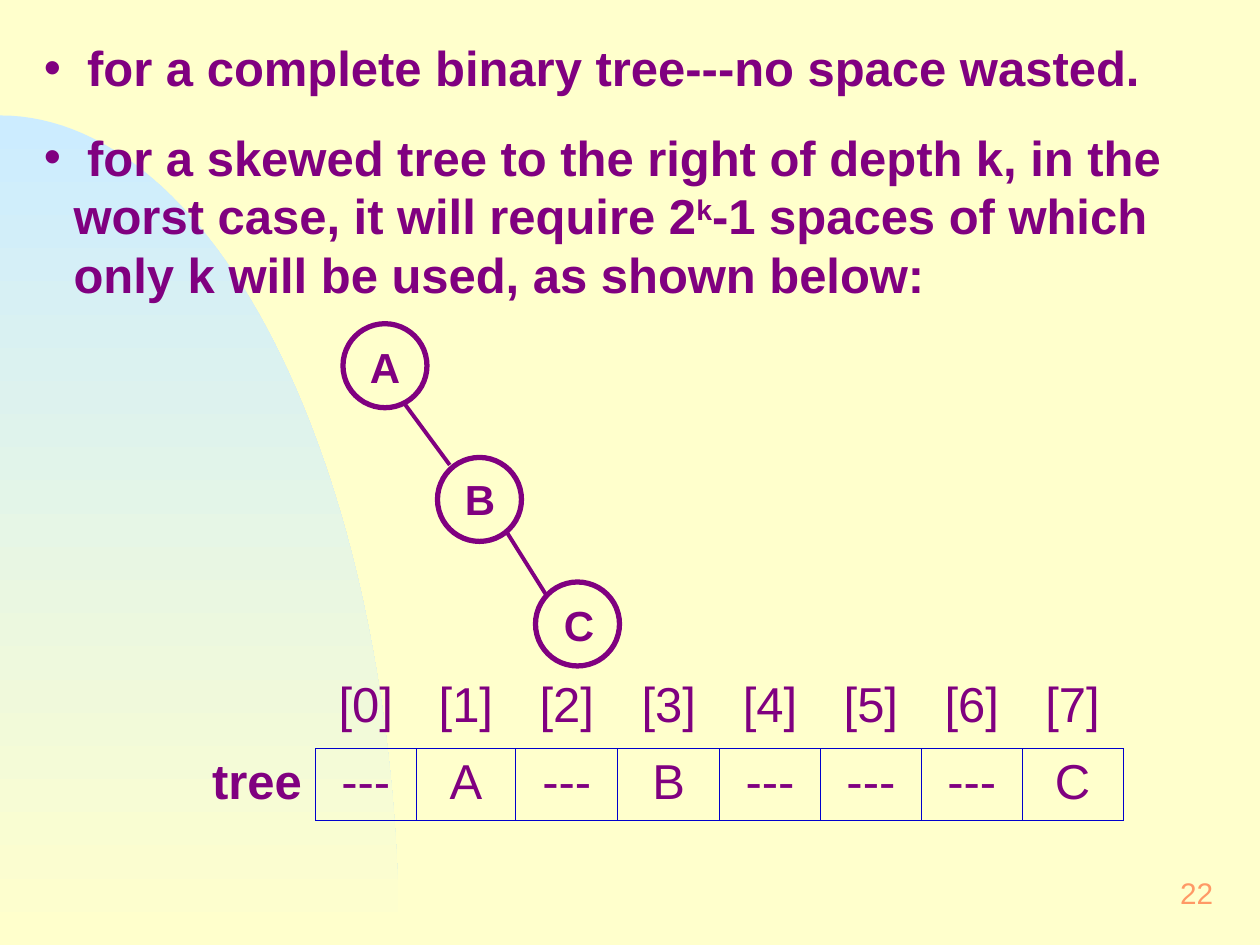
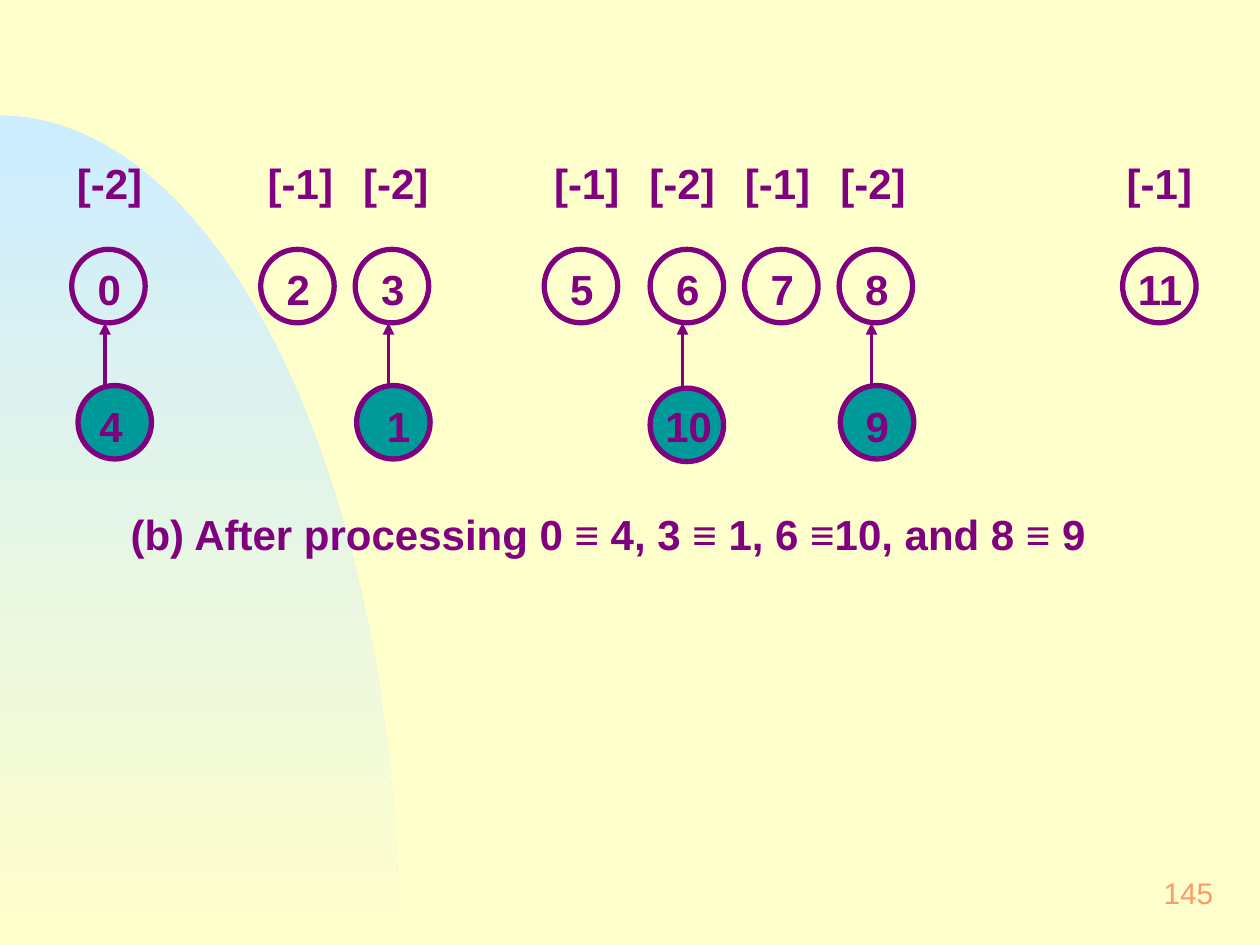
from dataclasses import dataclass
from math import cos, pi, sin

from lxml.etree import SubElement
from pptx import Presentation
from pptx.dml.color import RGBColor
from pptx.enum.shapes import MSO_CONNECTOR as Connector, MSO_SHAPE as Preset
from pptx.enum.text import MSO_ANCHOR as Anchor, MSO_AUTO_SIZE as AutoSize, PP_ALIGN as Align
from pptx.oxml.ns import qn
from pptx.slide import Slide
from pptx.table import Table, _Cell as Cell
from pptx.text.text import TextFrame, _Paragraph as Paragraph
from pptx.util import Pt

FONT = "Arial"
PURPLE = "800080"
TEAL = "009999"
CREAM = "FFFFCC"
SKY = "CCECFF"
ORANGE = "FF9966"
GRID_BLUE = "0000CC"
NO_GRID_STYLE = "{2D5ABB26-0587-4C30-8999-92F81FD0307C}"
ROOMY = (8.64, 4.32)
SNUG = (7.2, 3.6)


@dataclass(frozen=True)
class Style:
    size: float
    color: str = PURPLE
    bold: bool = True


BODY = Style(28)
CELL = Style(28, bold=False)
LABEL = Style(24)
PAGE_NUMBER = Style(17, ORANGE, False)


@dataclass(frozen=True)
class Node:
    label: str
    left: float
    top: float
    label_left: float
    label_top: float
    label_width: float = 36
    align: Align = Align.LEFT


@dataclass(frozen=True)
class Line:
    start: tuple[float, float]
    end: tuple[float, float]


def rgb(color: str) -> RGBColor:
    return RGBColor.from_string(color)


def add_span(para: Paragraph, text: str, style: Style, baseline: int = 0) -> None:
    span = para.add_run()
    span.text = text
    span.font.name = FONT
    span.font.size = Pt(style.size)
    span.font.bold = style.bold
    span.font.color.rgb = rgb(style.color)
    if baseline:
        span.font._element.set("baseline", str(baseline * 1000))


def add_box(page: Slide, left: float, top: float, width: float, height: float,
            insets: tuple[float, float] = ROOMY) -> TextFrame:
    frame = page.shapes.add_textbox(Pt(left), Pt(top), Pt(width), Pt(height)).text_frame
    frame.word_wrap = True
    frame.auto_size = AutoSize.SHAPE_TO_FIT_TEXT
    frame.margin_left = frame.margin_right = Pt(insets[0])
    frame.margin_top = frame.margin_bottom = Pt(insets[1])
    return frame


def add_label(page: Slide, text: str, left: float, top: float, width: float,
              align: Align = Align.LEFT) -> None:
    para = add_box(page, left, top, width, 37.5).paragraphs[0]
    para.alignment = align
    add_span(para, text, LABEL)


def add_bullet(para: Paragraph) -> None:
    properties = para._p.get_or_add_pPr()
    properties.set("marL", str(Pt(17)))
    properties.set("indent", str(Pt(-17)))
    color = SubElement(properties, qn("a:buClr"))
    SubElement(color, qn("a:srgbClr"), val=PURPLE)
    SubElement(properties, qn("a:buFont"), typeface=FONT)
    SubElement(properties, qn("a:buChar"), char="•")


def add_node(page: Slide, node: Node, diameter: float, fill: str | None = None) -> None:
    circle = page.shapes.add_shape(Preset.OVAL, Pt(node.left), Pt(node.top),
                                   Pt(diameter), Pt(diameter))
    circle.shadow.inherit = False
    circle.line.color.rgb = rgb(PURPLE)
    circle.line.width = Pt(3)
    if fill:
        circle.fill.solid()
        circle.fill.fore_color.rgb = rgb(fill)
    else:
        circle.fill.background()
    add_label(page, node.label, node.label_left, node.label_top, node.label_width, node.align)


def add_line(page: Slide, line: Line, arrow: bool = False) -> None:
    connector = page.shapes.add_connector(
        Connector.STRAIGHT, *(Pt(value) for value in line.start + line.end))
    connector.line.color.rgb = rgb(PURPLE)
    connector.line.width = Pt(2.25)
    if arrow:
        SubElement(connector.line._get_or_add_ln(), qn("a:headEnd"), type="triangle")
    SubElement(connector._element.spPr, qn("a:effectLst"))


def add_table(page: Slide, left: float, top: float, widths: list[float],
              heights: list[float]) -> Table:
    table = page.shapes.add_table(len(heights), len(widths), Pt(left), Pt(top),
                                  Pt(sum(widths)), Pt(sum(heights))).table
    table.first_row = table.horz_banding = False
    table._tbl.tblPr.find(qn("a:tableStyleId")).text = NO_GRID_STYLE
    for column, width in zip(table.columns, widths):
        column.width = Pt(width)
    for row, height in zip(table.rows, heights):
        row.height = Pt(height)
    for cell in table.iter_cells():
        cell.margin_left = cell.margin_right = Pt(SNUG[0])
        cell.margin_top = cell.margin_bottom = Pt(SNUG[1])
    return table


def fill_cell(cell: Cell, text: str, style: Style, align: Align = Align.CENTER,
              sides: tuple[str, ...] = ()) -> None:
    properties = cell._tc.get_or_add_tcPr()
    for side in sides:
        border = SubElement(properties, qn(f"a:ln{side}"), w=str(Pt(0.45)))
        color = SubElement(SubElement(border, qn("a:solidFill")), qn("a:srgbClr"))
        color.set("val", GRID_BLUE)
    cell.fill.background()
    if text:
        para = cell.text_frame.paragraphs[0]
        para.alignment = align
        add_span(para, text, style)


def add_page(deck: Presentation, number: int) -> Slide:
    page = deck.slides.add_slide(deck.slide_layouts[6])
    steps = 60
    angles = [pi / 2 * step / steps for step in range(steps + 1)]
    curve = [(Pt(228 * sin(angle)), Pt(540 - 474 * cos(angle))) for angle in angles]
    builder = page.shapes.build_freeform(*curve[0])
    builder.add_line_segments(curve[1:] + [(0, Pt(540))])
    band = builder.convert_to_shape()
    band.shadow.inherit = False
    band.line.fill.background()
    band.fill.gradient()
    band.fill.gradient_angle = 270
    for stop, color, position in zip(band.fill.gradient_stops, (SKY, CREAM), (0, 1)):
        stop.color.rgb = rgb(color)
        stop.position = position

    frame = add_box(page, 552, 492, 150, 36)
    frame.auto_size = AutoSize.NONE
    frame.vertical_anchor = Anchor.MIDDLE
    para = frame.paragraphs[0]
    para.alignment = Align.RIGHT
    add_span(para, str(number), PAGE_NUMBER)
    return page


def build_skewed_tree(deck: Presentation) -> None:
    page = add_page(deck, 22)
    frame = add_box(page, 18, 18, 690, 159, SNUG)
    first = frame.paragraphs[0]
    add_bullet(first)
    add_span(first, " for a complete binary tree---no space wasted.", BODY)
    second = frame.add_paragraph()
    add_bullet(second)
    second.space_before = Pt(17.5)
    add_span(second, " for a skewed tree to the right of depth k, in the worst case, "
                     "it will require 2", BODY)
    add_span(second, "k", BODY, baseline=30)
    add_span(second, "-1 spaces of which only k will be used, as shown below:", BODY)

    for node in (Node("A", 196, 185, 201.6, 190.8, 36.7, Align.CENTER),
                 Node("B", 250, 261.4, 257, 266.4),
                 Node("C", 306, 332.6, 312.5, 338.4, 36.7, Align.CENTER)):
        add_node(page, node, 48)
    for line in (Line((230.4, 229.7), (257, 265.7)),
                 Line((289.4, 303.8), (312.5, 340.6))):
        add_line(page, line)

    slots = ["---", "A", "---", "B", "---", "---", "---", "C"]
    widths = [66.2, 57.6, 56.9, 58.3, 58.3] + [57.6] * 4
    table = add_table(page, 114, 384, widths, [43.9, 41])
    fill_cell(table.cell(0, 0), "", CELL)
    fill_cell(table.cell(1, 0), "tree", BODY, Align.LEFT, ("R",))
    for index, slot in enumerate(slots):
        fill_cell(table.cell(0, index + 1), f"[{index}]", CELL, sides=("B",))
        fill_cell(table.cell(1, index + 1), slot, CELL, sides=("L", "R", "T", "B"))


def build_equivalence_forest(deck: Presentation) -> None:
    page = add_page(deck, 145)
    root_counts = {0: -2, 2: -1, 3: -2, 5: -1, 6: -2, 7: -1, 8: -2, 11: -1}
    table = add_table(page, 35.3, 88.5, [54.54] * 12, [36])
    for index in range(12):
        text = f"[{root_counts[index]}]" if index in root_counts else ""
        fill_cell(table.cell(0, index), text, LABEL)

    add_label(page, "(b) After processing 0 ≡ 4, 3 ≡ 1, 6 ≡10, and 8 ≡ 9", 66, 286.5, 600)

    for root in root_counts:
        left = 41 + 54 * root + (6.5 if root > 5 else 0)
        shift, width = (0, 48) if root > 9 else (6.2, 36)
        add_node(page, Node(str(root), left, 142.5, left + shift, 146.2, width), 42)
    for child in (Node("4", 44.6, 220.3, 48.2, 224.6),
                  Node("1", 203.8, 220.3, 212.4, 224.6),
                  Node("10", 371.5, 221.8, 371.5, 224.6, 48),
                  Node("9", 480.2, 220.3, 486, 224.6)):
        add_node(page, child, 42, TEAL)
    for x in (60, 222, 390, 498):
        add_line(page, Line((x, 184.5), (x, 220.5)), arrow=True)


def main() -> None:
    deck = Presentation()
    deck.slide_width, deck.slide_height = Pt(720), Pt(540)
    background = deck.slide_master.background.fill
    background.solid()
    background.fore_color.rgb = rgb(CREAM)
    build_skewed_tree(deck)
    build_equivalence_forest(deck)
    deck.save("out.pptx")


if __name__ == "__main__":
    main()
